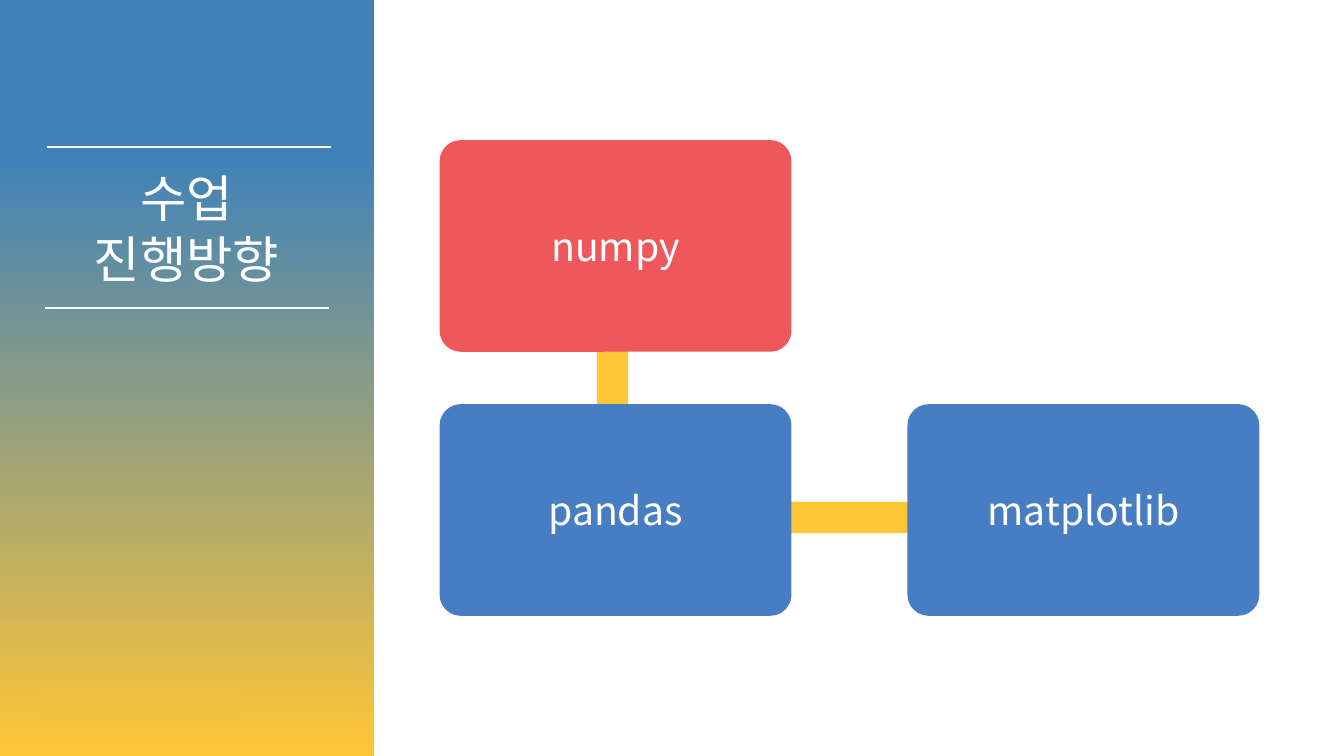
"""Build a slide showing the course path from numpy through pandas to matplotlib."""
from lxml import etree
from pptx import Presentation
from pptx.dml.color import RGBColor
from pptx.enum.shapes import MSO_CONNECTOR, MSO_SHAPE
from pptx.enum.text import MSO_ANCHOR, PP_ALIGN
from pptx.oxml.ns import qn
from pptx.util import Inches, Pt

RECTANGLE, ROUNDED = MSO_SHAPE.RECTANGLE, MSO_SHAPE.ROUNDED_RECTANGLE
STRAIGHT = MSO_CONNECTOR.STRAIGHT
CENTER = PP_ALIGN.CENTER
TOP, MIDDLE = MSO_ANCHOR.TOP, MSO_ANCHOR.MIDDLE

FONT = "Noto Sans CJK KR"
WHITE, RED, BLUE, YELLOW = "FFFFFF", "EE585C", "467DC3", "FFC636"
TITLE = ["수업", "진행방향"]
CARDS = [("numpy", 0, 0, RED), ("pandas", 0, 1, BLUE), ("matplotlib", 1, 1, BLUE)]
RULES = [(0.47, 1.46), (0.45, 3.06)]
PANEL_STOPS = [(21, "4182B8"), (100, YELLOW)]
PATCH_STOPS = [(0, "E6BD47"), (41, "EDC042"), (69, "F1C140"), (100, "F6C33C")]

GRID_LEFT, GRID_TOP = 4.36, 1.39
CARD_WIDTH, CARD_HEIGHT = 3.49, 2.1
COLUMN_STEP, ROW_STEP = 4.64, 2.62
BAR = 0.31
RULE_LENGTH = 2.81


def color(value):
    return RGBColor.from_string(value)


def add_block(page, kind, left, top, width, height, fill=None, stops=None):
    block = page.shapes.add_shape(
        kind, Inches(left), Inches(top), Inches(width), Inches(height))
    block.shadow.inherit = False
    block.line.fill.background()
    if stops:
        paint_gradient(block, stops)
    else:
        block.fill.solid()
        block.fill.fore_color.rgb = color(fill)
    return block


def paint_gradient(block, stops):
    block.fill.gradient()
    block.fill.gradient_angle = 270
    stop_list = block._element.spPr.find(".//" + qn("a:gsLst"))
    for old_stop in list(stop_list):
        stop_list.remove(old_stop)
    for percent, value in stops:
        stop = etree.SubElement(stop_list, qn("a:gs"), pos=str(percent * 1000))
        etree.SubElement(stop, qn("a:srgbClr"), val=value)


def add_rule(page, left, top):
    rule = page.shapes.add_connector(
        STRAIGHT, Inches(left), Inches(top), Inches(left + RULE_LENGTH), Inches(top))
    rule.line.color.rgb = color(WHITE)
    rule.line.width = Pt(1.5)
    etree.SubElement(rule._element.spPr, qn("a:effectLst"))


def write(box, lines, size=28, anchor=MIDDLE):
    frame = box.text_frame
    frame.word_wrap = True
    frame.vertical_anchor = anchor
    frame.text = "\n".join(lines)
    for para in frame.paragraphs:
        para.alignment = CENTER
        for span in para.runs:
            span.font.size = Pt(size)
            span.font.name = FONT
            span.font.color.rgb = color(WHITE)
            east_asian = etree.SubElement(span.font._element, qn("a:ea"))
            east_asian.set("typeface", FONT)


def card_place(column, row):
    return GRID_LEFT + column * COLUMN_STEP, GRID_TOP + row * ROW_STEP


def main():
    deck = Presentation()
    deck.slide_width, deck.slide_height = Inches(13.33), Inches(7.5)
    page = deck.slides.add_slide(deck.slide_layouts[5])

    add_block(page, RECTANGLE, 0, 0, 3.71, 7.5, stops=PANEL_STOPS)
    for left, top in RULES:
        add_rule(page, left, top)

    title = page.shapes.title
    title.left, title.top = Inches(0), Inches(1.61)
    title.width, title.height = Inches(3.7), Inches(1.31)
    write(title, TITLE, size=36, anchor=TOP)
    page.shapes._spTree.append(title._element)

    left, top = card_place(0, 1)
    add_block(page, RECTANGLE, 5.92, top - ROW_STEP / 2, BAR, ROW_STEP, YELLOW)
    add_block(page, RECTANGLE, left + CARD_WIDTH / 2, 4.98, COLUMN_STEP, BAR, YELLOW)
    for name, column, row, fill in CARDS:
        left, top = card_place(column, row)
        card = add_block(page, ROUNDED, left, top, CARD_WIDTH, CARD_HEIGHT, fill)
        card.adjustments[0] = 0.1
        write(card, [name])

    add_block(page, RECTANGLE, 0.4, 6.67, 1.96, 0.57, stops=PATCH_STOPS)
    deck.save("out.pptx")


if __name__ == "__main__":
    main()
